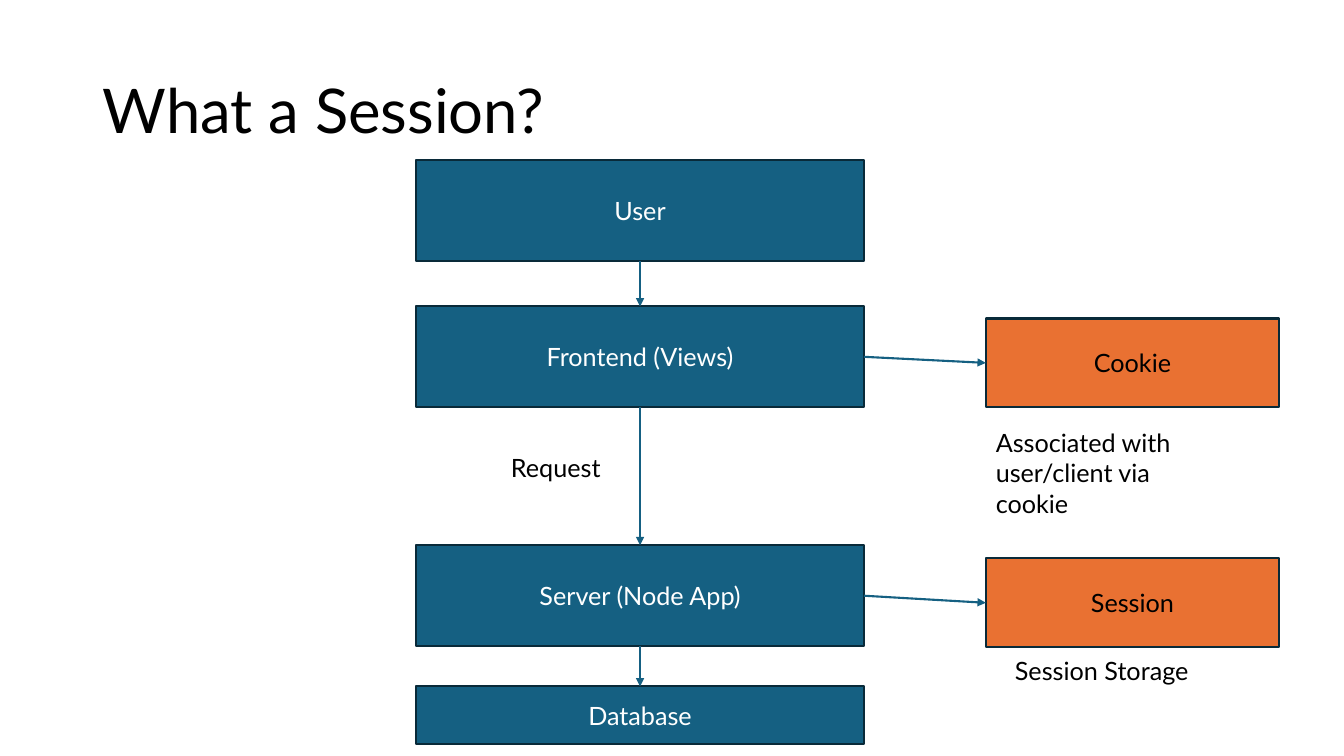
from lxml.etree import SubElement
from pptx import Presentation
from pptx.dml.color import RGBColor
from pptx.enum.shapes import MSO_CONNECTOR, MSO_SHAPE
from pptx.enum.text import MSO_ANCHOR, MSO_AUTO_SIZE, PP_ALIGN
from pptx.oxml.ns import qn
from pptx.util import Inches, Pt

COLORS = {
    "blue": "156082",
    "orange": "E97132",
    "outline": "092A39",
    "black": "000000",
    "white": "FFFFFF",
}
TOP, LEFT, BOTTOM, RIGHT = range(4)  # connection sites of a rectangle


class FlowSlide:
    """Places elements on a grid of 40 columns by 30 rows."""

    columns, rows = 40, 30
    font_name, body_size, line_width = "Lato", 18, 1.5

    def __init__(self, deck):
        self.width, self.height = deck.slide_width, deck.slide_height
        self.slide = deck.slides.add_slide(deck.slide_layouts[6])

    def color(self, name):
        return RGBColor.from_string(COLORS[name])

    def place(self, left, top, width, height):
        column, row = self.width / self.columns, self.height / self.rows
        return (round(left * column), round(top * row),
                round(width * column), round(height * row))

    def add_text(self, frame, text, color, size):
        run = frame.paragraphs[0].add_run()
        run.text = text
        run.font.name = self.font_name
        run.font.size = Pt(size)
        run.font.color.rgb = self.color(color)

    def label(self, text, area, size=body_size, wrap=True):
        frame = self.slide.shapes.add_textbox(*self.place(*area)).text_frame
        frame.word_wrap = wrap
        frame.auto_size = MSO_AUTO_SIZE.SHAPE_TO_FIT_TEXT
        self.add_text(frame, text, "black", size)
        return frame

    def title(self, text, area):
        frame = self.label(text, area, size=44)
        frame.auto_size = MSO_AUTO_SIZE.NONE
        frame.vertical_anchor = MSO_ANCHOR.MIDDLE
        frame.paragraphs[0].line_spacing = 0.9

    def box(self, text, area, fill, text_color):
        box = self.slide.shapes.add_shape(MSO_SHAPE.RECTANGLE, *self.place(*area))
        box.shadow.inherit = False
        box.fill.solid()
        box.fill.fore_color.rgb = self.color(fill)
        box.line.color.rgb = self.color("outline")
        box.line.width = Pt(self.line_width)
        frame = box.text_frame
        frame.word_wrap = True
        frame.vertical_anchor = MSO_ANCHOR.MIDDLE
        frame.paragraphs[0].alignment = PP_ALIGN.CENTER
        self.add_text(frame, text, text_color, self.body_size)
        return box

    def arrow(self, source, source_site, target, target_site):
        arrow = self.slide.shapes.add_connector(MSO_CONNECTOR.STRAIGHT, 0, 0, 0, 0)
        arrow.begin_connect(source, source_site)
        arrow.end_connect(target, target_site)
        arrow.line.color.rgb = self.color("blue")
        arrow.line.width = Pt(self.line_width)
        properties = arrow._element.spPr
        SubElement(properties.find(qn("a:ln")), qn("a:tailEnd"), type="triangle")
        SubElement(properties, qn("a:effectLst"))


def main():
    deck = Presentation()
    deck.slide_width, deck.slide_height = Inches(13.333), Inches(7.5)
    flow = FlowSlide(deck)

    flow.title("What a Session?", (2.76, 1.6, 34.5, 5.8))

    # Request path from the user down to the database
    layers = [("User", 6.36, 4), ("Frontend (Views)", 12.16, 4),
              ("Server (Node App)", 21.64, 4), ("Database", 27.24, 2.28)]
    stack = [flow.box(name, (12.39, top, 13.32, height), "blue", "white")
             for name, top, height in layers]
    for upper, lower in zip(stack, stack[1:]):
        flow.arrow(upper, BOTTOM, lower, TOP)
    flow.label("Request", (14.91, 17.76, 3.33, 1.6), wrap=False)

    # State kept beside the frontend and the server
    frontend, server = stack[1:3]
    for name, top, owner in [("Cookie", 12.64, frontend), ("Session", 22.16, server)]:
        store = flow.box(name, (29.34, top, 8.73, 3.52), "orange", "black")
        flow.arrow(owner, RIGHT, store, LEFT)
    flow.label("Associated with user/client via cookie", (29.34, 16.76, 7.35, 4.04))
    flow.label("Session Storage", (29.91, 25.8, 7.35, 1.6))

    deck.save("out.pptx")


if __name__ == "__main__":
    main()
